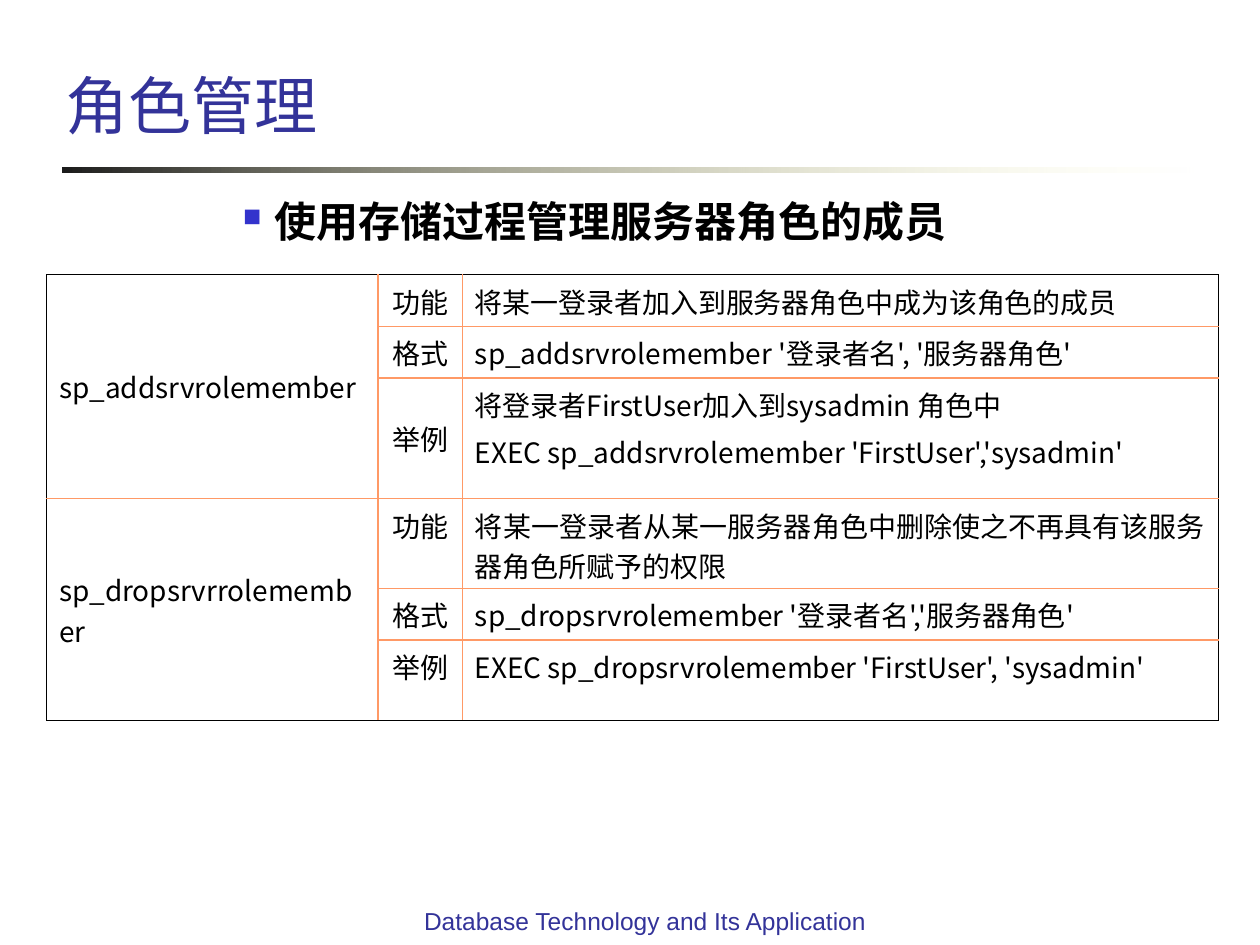
from lxml import etree
from pptx import Presentation
from pptx.dml.color import RGBColor
from pptx.enum.shapes import MSO_SHAPE
from pptx.enum.text import MSO_ANCHOR, PP_ALIGN
from pptx.oxml import parse_xml
from pptx.oxml.ns import qn
from pptx.util import Inches, Pt

RECT = MSO_SHAPE.RECTANGLE
TOP, MID, BOT = MSO_ANCHOR.TOP, MSO_ANCHOR.MIDDLE, MSO_ANCHOR.BOTTOM
LEFT, CENTER, JUST = PP_ALIGN.LEFT, PP_ALIGN.CENTER, PP_ALIGN.JUSTIFY
CJK = "Noto Sans CJK SC"
NS = 'xmlns:a="http://schemas.openxmlformats.org/drawingml/2006/main"'
HUES = {"navy": "333399", "black": "000000", "bullet": "3333CC",
        "grid": "FF9966", "dark": "1C1C1C", "pale": "FFFFB7"}


def write(frame, text, size=16, font=CJK, hue="black", bold=False,
          align=LEFT, gap=4, bullet=False):
    frame.word_wrap = True
    for i, line in enumerate(text.split("\n")):
        para = frame.paragraphs[0] if i == 0 else frame.add_paragraph()
        para.alignment = align
        if i:
            para.space_before = Pt(gap)
        if bullet:
            props = para._p.get_or_add_pPr()
            props.set("marL", str(Inches(1.75)))
            props.set("indent", str(Inches(-0.25)))
            for xml in (f'<a:buClr {NS}><a:srgbClr val="{HUES["bullet"]}"/></a:buClr>',
                        f'<a:buSzPct {NS} val="60000"/>',
                        f'<a:buChar {NS} char="■"/>'):
                props.append(parse_xml(xml))
        run = para.add_run()
        run.text = line
        run.font.size = Pt(size)
        run.font.bold = bold
        run.font.name = font
        run.font.color.rgb = RGBColor.from_string(HUES[hue])
        etree.SubElement(run._r.rPr, qn("a:ea")).set("typeface", font)


prs = Presentation()
prs.slide_width, prs.slide_height = Inches(10), Inches(7.5)
slide = prs.slides.add_slide(prs.slide_layouts[6])

bar = slide.shapes.add_shape(RECT, Inches(0.5), Inches(1.33), Inches(9), Inches(0.04))
bar.shadow.inherit = False
bar.line.fill.background()
bar.fill.gradient()
bar.fill.gradient_angle = 0
stops = bar.fill.gradient_stops
for stop, hue, pos in zip(stops, ("dark", "pale"), (0, 1)):
    stop.color.rgb = RGBColor.from_string(HUES[hue])
    stop.position = pos
fade = bar._element.spPr.findall(".//" + qn("a:srgbClr"))[-1]
etree.SubElement(fade, qn("a:alpha")).set("val", "0")

for text, spot, anchor, look in (
    ("角色管理", (0.42, 0, 8.78, 1.18), BOT, dict(size=36, hue="navy")),
    ("使用存储过程管理服务器角色的成员", (0.33, 1.5, 9.46, 0.51), TOP,
     dict(size=24, bold=True, bullet=True)),
    ("Database Technology and Its Application", (3.19, 7.14, 3.86, 0.52), TOP,
     dict(size=14, font="Arial", hue="navy", align=CENTER)),
):
    box = slide.shapes.add_textbox(*map(Inches, spot))
    box.text_frame.vertical_anchor = anchor
    write(box.text_frame, text, **look)

procs = [
    ("sp_addsrvrolemember", MID, (
        "将某一登录者加入到服务器角色中成为该角色的成员",
        "sp_addsrvrolemember '登录者名', '服务器角色'",
        "将登录者FirstUser加入到sysadmin 角色中\n"
        "EXEC sp_addsrvrolemember 'FirstUser','sysadmin'")),
    ("sp_dropsrvrrolemember", TOP, (
        "将某一登录者从某一服务器角色中删除使之不再具有该服务器角色所赋予的权限",
        "sp_dropsrvrolemember '登录者名','服务器角色'",
        "EXEC sp_dropsrvrolemember 'FirstUser', 'sysadmin'")),
]
tags = ("功能", "格式", "举例")
cols = (2.63, 0.67, 6)
rows = (0.41, 0.41, 0.96, 0.71, 0.41, 0.64)
table = slide.shapes.add_table(len(rows), len(cols), Inches(0.37), Inches(2.18),
                               Inches(sum(cols)), Inches(sum(rows))).table
table.first_row = table.horz_banding = False
for col, wide in zip(table.columns, cols):
    col.width = Inches(wide)
for row, high in zip(table.rows, rows):
    row.height = Inches(high)

for i, (name, anchor, notes) in enumerate(procs):
    top = i * len(tags)
    head = table.cell(top, 0)
    head.merge(table.cell(top + len(tags) - 1, 0))
    head.vertical_anchor = MID
    write(head.text_frame, name)
    for r, (tag, note) in enumerate(zip(tags, notes), top):
        table.cell(r, 1).vertical_anchor = anchor
        write(table.cell(r, 1).text_frame, tag, align=CENTER)
        write(table.cell(r, 2).text_frame, note, align=JUST)

for r in range(len(rows)):
    for c in range(len(cols)):
        cell = table.cell(r, c)
        if cell.is_spanned:
            continue
        props = cell._tc.get_or_add_tcPr()
        end = r + (cell.span_height if cell.is_merge_origin else 1)
        for side, edge in (("L", c == 0), ("R", c == len(cols) - 1),
                           ("T", r == 0), ("B", end == len(rows))):
            hue = HUES["black" if edge else "grid"]
            props.append(parse_xml(
                f'<a:ln{side} {NS} w="{Pt(0.75)}"><a:solidFill>'
                f'<a:srgbClr val="{hue}"/></a:solidFill></a:ln{side}>'))
        cell.fill.background()

prs.save("out.pptx")
